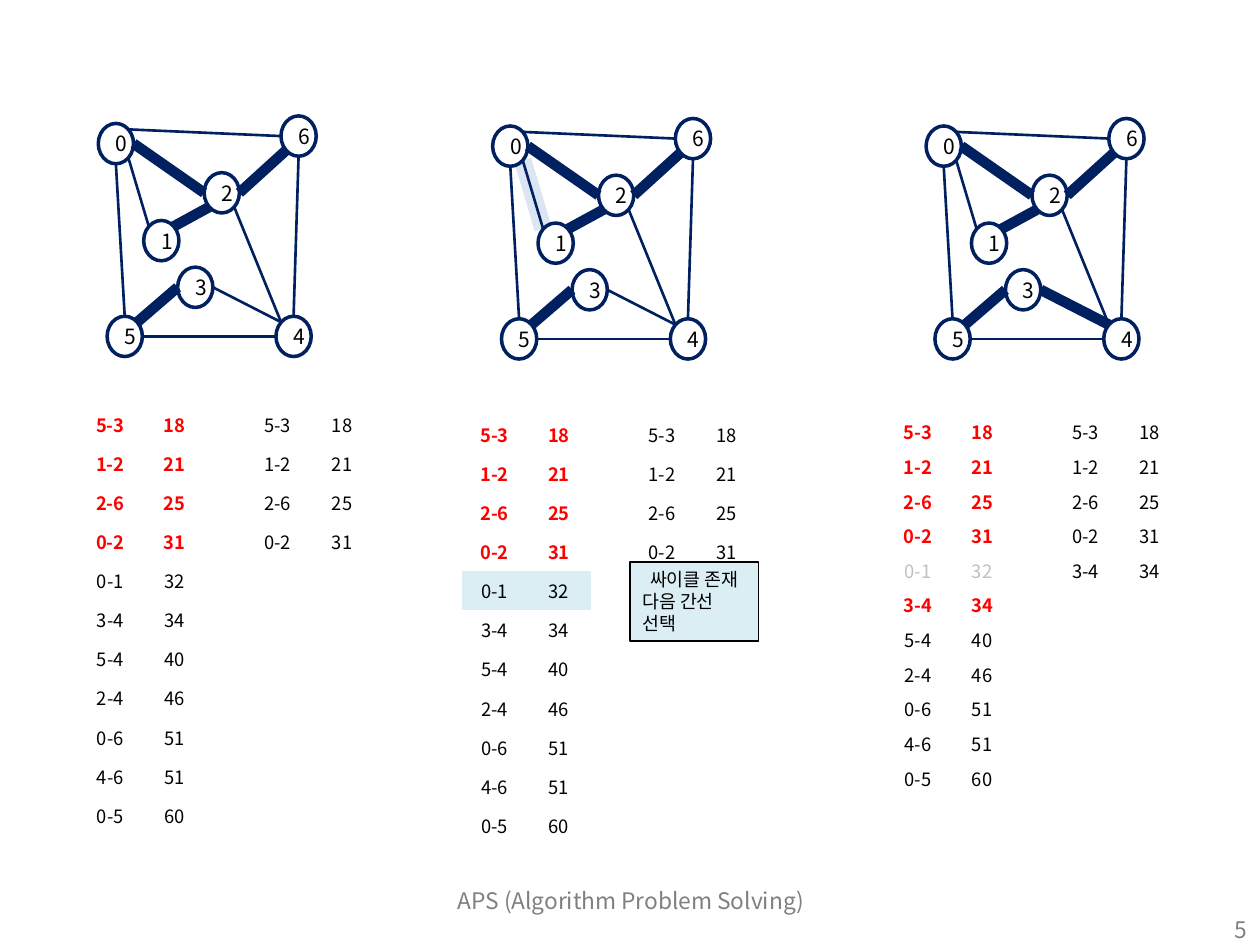
from math import cos, pi, sin

from lxml.etree import SubElement
from pptx import Presentation
from pptx.dml.color import RGBColor
from pptx.enum.shapes import MSO_CONNECTOR, MSO_SHAPE
from pptx.enum.text import MSO_ANCHOR, MSO_AUTO_SIZE, PP_ALIGN
from pptx.oxml.ns import qn
from pptx.util import Inches, Pt

FONT = "Noto Sans CJK KR"
NAVY = RGBColor(0x00, 0x20, 0x60)
BLACK = RGBColor(0x00, 0x00, 0x00)
WHITE = RGBColor(0xFF, 0xFF, 0xFF)
RED = RGBColor(0xFF, 0x00, 0x00)
GRAY = RGBColor(0x80, 0x80, 0x80)
LIGHT_GRAY = RGBColor(0xBF, 0xBF, 0xBF)
PALE_BLUE = RGBColor(0xDB, 0xEE, 0xF4)
GLOW_BLUE = RGBColor(0xDC, 0xE6, 0xF2)
NO_STYLE = "{2D5ABB26-0587-4C30-8999-92F81FD0307C}"

NODE_W, NODE_H = 0.28, 0.32
NODES = {
    "5": (0.07, 1.59), "6": (1.45, 0), "4": (1.41, 1.59), "0": (0, 0.06),
    "1": (0.36, 0.83), "2": (0.84, 0.45), "3": (0.63, 1.2),
}
TOP, TOP_LEFT, LEFT, BOTTOM_LEFT, BOTTOM, BOTTOM_RIGHT, RIGHT, TOP_RIGHT = range(8)
EDGES = {
    "5-3": (18, TOP_RIGHT, LEFT),
    "1-2": (21, TOP_RIGHT, BOTTOM_LEFT),
    "2-6": (25, RIGHT, BOTTOM_LEFT),
    "0-2": (31, RIGHT, LEFT),
    "0-1": (32, BOTTOM_RIGHT, TOP_LEFT),
    "3-4": (34, RIGHT, TOP_LEFT),
    "5-4": (40, RIGHT, LEFT),
    "2-4": (46, BOTTOM_RIGHT, TOP_LEFT),
    "0-6": (51, TOP_RIGHT, LEFT),
    "4-6": (51, TOP, BOTTOM),
    "0-5": (60, BOTTOM, TOP),
}
FIRST_FOUR = ["5-3", "1-2", "2-6", "0-2"]


def format_paragraph(p, size, color, align=PP_ALIGN.CENTER, bold=False):
    p.alignment = align
    p.font.size = Pt(size)
    p.font.name = FONT
    p.font.bold = bold
    p.font.color.rgb = color
    SubElement(p._p.pPr.find(qn("a:defRPr")), qn("a:ea"), typeface=FONT)


def add_label(s, x, y, w, h, text, align):
    tf = s.shapes.add_textbox(Inches(x), Inches(y), Inches(w), Inches(h)).text_frame
    tf.word_wrap = True
    tf.vertical_anchor = MSO_ANCHOR.MIDDLE
    tf.text = text
    format_paragraph(tf.paragraphs[0], 13, GRAY, align)


def site_point(x, y, node, site):
    left, top = NODES[node]
    angle = site * pi / 4
    return (Inches(x + left + NODE_W / 2 * (1 - sin(angle))),
            Inches(y + top + NODE_H / 2 * (1 - cos(angle))))


def add_edge(s, x, y, edge, color, width):
    start, end = edge.split("-")
    _, start_site, end_site = EDGES[edge]
    line = s.shapes.add_connector(
        MSO_CONNECTOR.STRAIGHT,
        *site_point(x, y, start, start_site), *site_point(x, y, end, end_site))
    line.line.color.rgb = color
    line.line.width = Pt(width)
    SubElement(line._element.spPr, qn("a:effectLst"))


def add_node(s, x, y, name):
    sp = s.shapes.add_shape(MSO_SHAPE.OVAL, Inches(x), Inches(y),
                            Inches(NODE_W), Inches(NODE_H))
    sp.shadow.inherit = False
    sp.fill.solid()
    sp.fill.fore_color.rgb = WHITE
    sp.line.color.rgb = NAVY
    sp.line.width = Pt(2)
    tf = sp.text_frame
    tf.word_wrap = False
    tf.vertical_anchor = MSO_ANCHOR.MIDDLE
    tf.margin_left = Inches(0.09)
    tf.margin_right = tf.margin_top = tf.margin_bottom = 0
    tf.text = name
    format_paragraph(tf.paragraphs[0], 12, BLACK)


def add_graph(s, x, y, chosen, cycle_edge=None):
    if cycle_edge:
        add_edge(s, x, y, cycle_edge, GLOW_BLUE, 10)
    for name, (left, top) in NODES.items():
        add_node(s, x + left, y + top, name)
    for edge in EDGES:
        add_edge(s, x, y, edge, NAVY, 6 if edge in chosen else 1.5)


def add_edge_table(s, x, y, edges, rows, margin, chosen=(), rejected=None, shaded=None):
    table = s.shapes.add_table(rows, 2, Inches(x), Inches(y),
                               Inches(1.02), Inches(0.275 * rows)).table
    table.first_row = table.horz_banding = False
    table._tbl.tblPr.find(qn("a:tableStyleId")).text = NO_STYLE
    for i in range(rows):
        edge = edges[i] if i < len(edges) else None
        texts = (edge, str(EDGES[edge][0])) if edge else ("", "")
        color = RED if edge in chosen else BLACK
        if edge and edge == rejected:
            color = LIGHT_GRAY
        for cell, text in zip(table.rows[i].cells, texts):
            cell.vertical_anchor = MSO_ANCHOR.MIDDLE
            cell.margin_top = cell.margin_bottom = Inches(margin)
            if edge and edge == shaded:
                cell.fill.solid()
                cell.fill.fore_color.rgb = PALE_BLUE
            else:
                cell.fill.background()
            cell.text = text
            format_paragraph(cell.text_frame.paragraphs[0], 10.5, color,
                             bold=edge in chosen)


def add_step(s, x, y, graph_x, graph_y, chosen, margin=0.05, rejected=None, shaded=None):
    add_graph(s, graph_x, graph_y, chosen, shaded)
    add_edge_table(s, x + 1.33, y, chosen, 10, margin)
    add_edge_table(s, x, y, list(EDGES), len(EDGES), margin, chosen, rejected, shaded)


def add_callout(s, x, y, w, h):
    sp = s.shapes.add_shape(MSO_SHAPE.RECTANGLE, Inches(x), Inches(y),
                            Inches(w), Inches(h))
    sp.shadow.inherit = False
    sp.fill.solid()
    sp.fill.fore_color.rgb = PALE_BLUE
    sp.line.color.rgb = BLACK
    sp.line.width = Pt(1)
    tf = sp.text_frame
    tf.word_wrap = True
    tf.auto_size = MSO_AUTO_SIZE.SHAPE_TO_FIT_TEXT
    tf.vertical_anchor = MSO_ANCHOR.TOP
    tf.text = "싸이클 존재\n다음 간선 선택"
    for p, align in zip(tf.paragraphs, (PP_ALIGN.CENTER, PP_ALIGN.LEFT)):
        format_paragraph(p, 10.5, BLACK, align)
        p.line_spacing = Pt(12.6)


def main():
    prs = Presentation()
    prs.slide_width, prs.slide_height = Inches(10), Inches(7.5)
    s = prs.slides.add_slide(prs.slide_layouts[6])
    add_step(s, 0.62, 3.21, 0.78, 0.92, FIRST_FOUR)
    add_step(s, 3.67, 3.29, 3.91, 0.94, FIRST_FOUR, shaded="0-1")
    add_step(s, 7.03, 3.29, 7.35, 0.94, FIRST_FOUR + ["3-4"], margin=0.03, rejected="0-1")
    add_callout(s, 5, 4.46, 1.02, 0.63)
    add_label(s, 3.42, 6.95, 3.17, 0.4, "APS (Algorithm Problem Solving)", PP_ALIGN.CENTER)
    add_label(s, 7.67, 7.18, 2.33, 0.4, "5", PP_ALIGN.RIGHT)
    prs.save("out.pptx")


if __name__ == "__main__":
    main()
